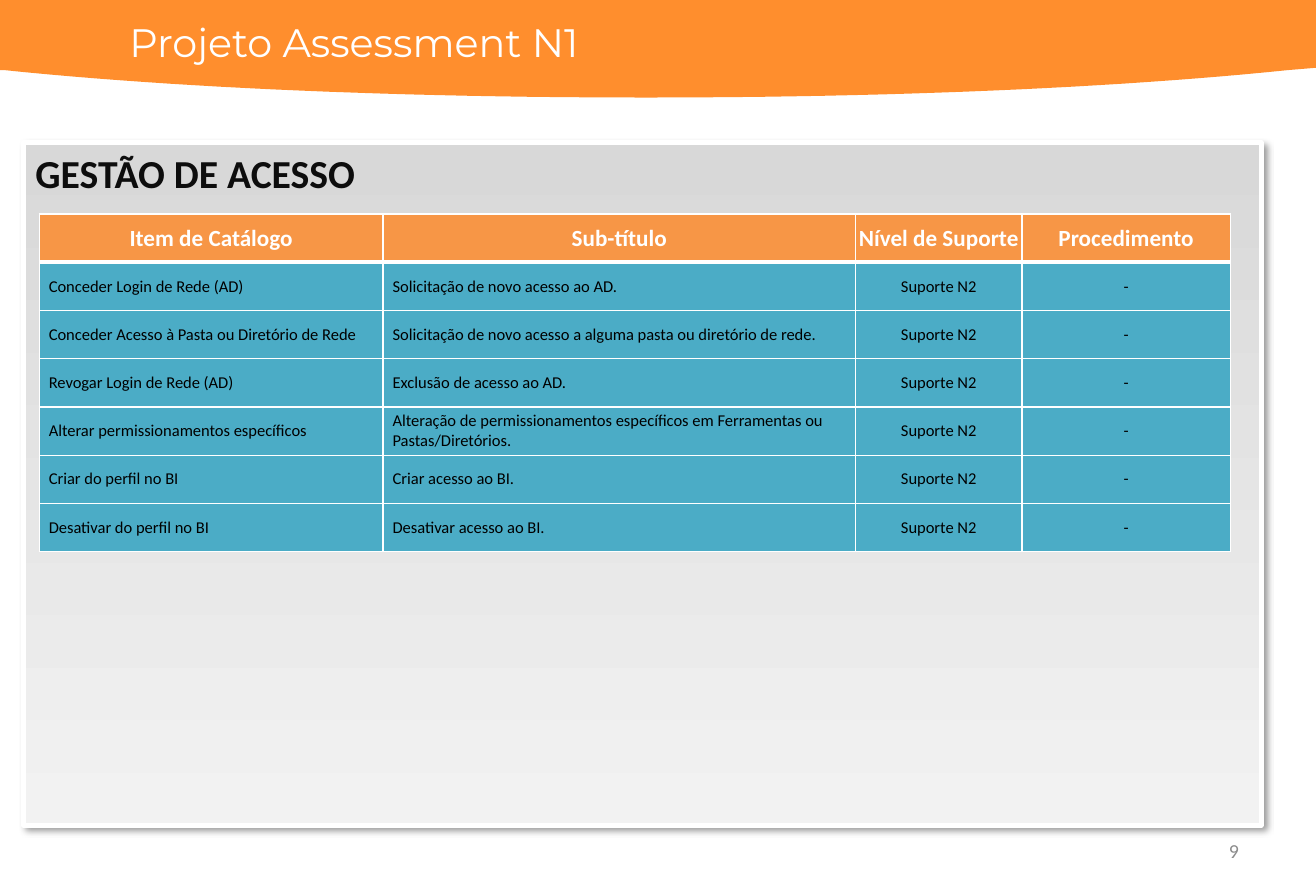
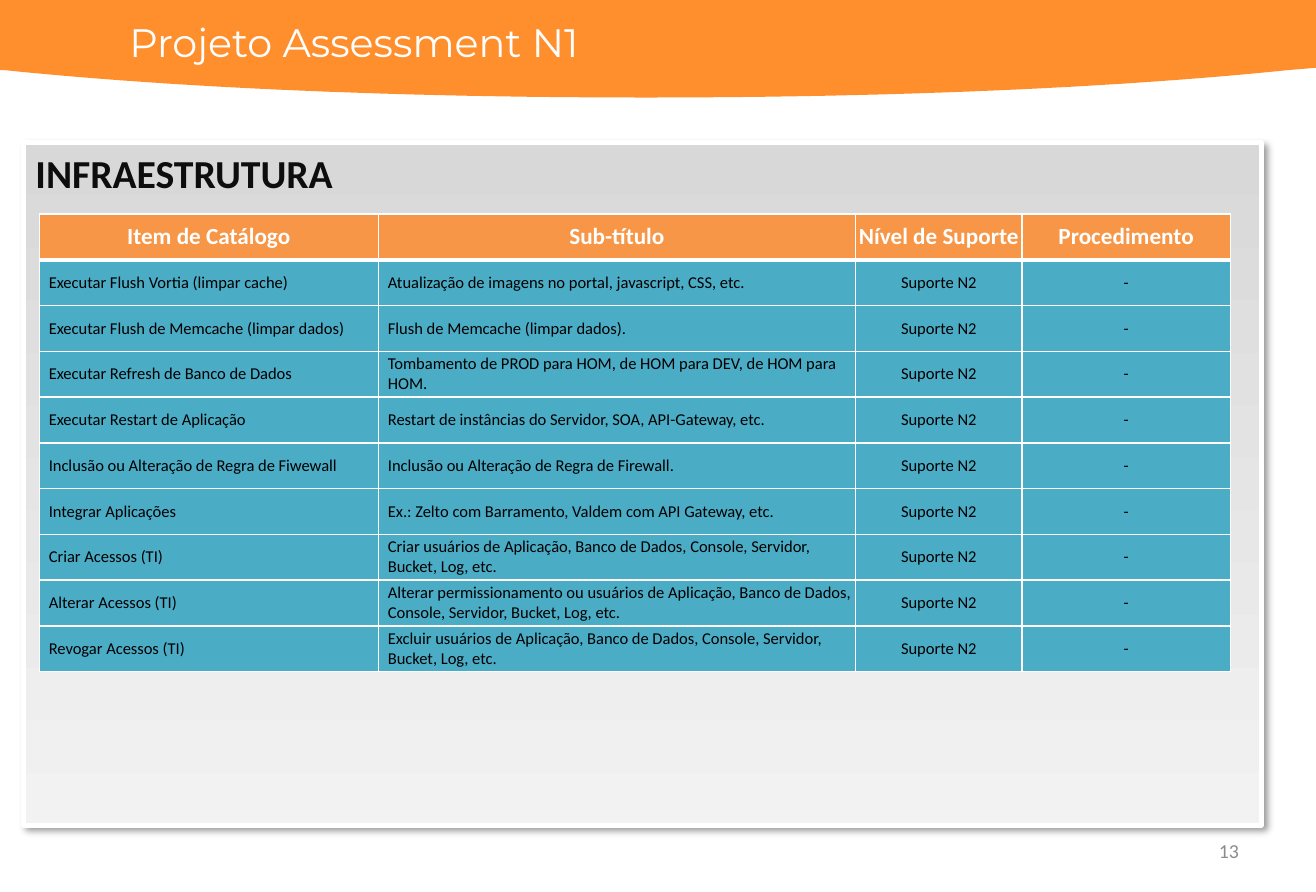
"""Build two catalogue slides that share a curved band, a grey panel and a table style."""
import dataclasses
import typing

import lxml.etree
import pptx
import pptx.dml.color
import pptx.enum.shapes
import pptx.enum.text
import pptx.oxml.ns
import pptx.shapes.base
import pptx.slide
import pptx.table
import pptx.text.text
import pptx.util

Inches = pptx.util.Inches
Align = pptx.enum.text.PP_ALIGN
Anchor = pptx.enum.text.MSO_ANCHOR


@dataclasses.dataclass(frozen=True)
class Theme:
    band: str = "FF8E2D"
    head: str = "F79646"
    body: str = "4BACC6"
    top: str = "D8D8D8"
    base: str = "F2F2F2"
    white: str = "FFFFFF"
    black: str = "000000"
    ink: str = "0D0D0D"
    grey: str = "8C8C8C"
    font: str = "Calibri"
    show: str = "Montserrat"
    big: int = 24
    mid: int = 14
    note: int = 12
    small: int = 10
    thin: int = 1
    thick: int = 3


THEME = Theme()


class Style(typing.NamedTuple):
    size: int
    tint: str
    bold: bool = False
    face: str = THEME.font
    align: typing.Optional[Align] = None


class Point(typing.NamedTuple):
    x: float
    y: float


@dataclasses.dataclass(frozen=True)
class Page:
    title: str
    number: int
    first: float
    height: float
    items: tuple[tuple[str, str], ...]


WIDE, HIGH = 11.06, 7.5
TABLE = 10.01
LEVEL, STEPS = 1.4, 1.75
HEADS = ("Item de Catálogo", "Sub-título", "Nível de Suporte", "Procedimento")
CURVES = (
    (Point(10.82, 0.59), Point(9.36, 0.74), Point(7.48, 0.82), Point(5.43, 0.82)),
    (Point(5.43, 0.82), Point(3.38, 0.82), Point(1.5, 0.74), Point(0.04, 0.59)),
)
PAGES = (
    Page("GESTÃO DE ACESSO", 9, 2.89, 2.84, (
        ("Conceder Login de Rede (AD)", "Solicitação de novo acesso ao AD."),
        ("Conceder Acesso à Pasta ou Diretório de Rede",
         "Solicitação de novo acesso a alguma pasta ou diretório de rede."),
        ("Revogar Login de Rede (AD)", "Exclusão de acesso ao AD."),
        ("Alterar permissionamentos específicos",
         "Alteração de permissionamentos específicos em Ferramentas ou Pastas/Diretórios."),
        ("Criar do perfil no BI", "Criar acesso ao BI."),
        ("Desativar do perfil no BI", "Desativar acesso ao BI."),
    )),
    Page("INFRAESTRUTURA", 13, 2.85, 3.85, (
        ("Executar Flush Vortia (limpar cache)",
         "Atualização de imagens no portal, javascript, CSS, etc."),
        ("Executar Flush de Memcache (limpar dados)", "Flush de Memcache (limpar dados)."),
        ("Executar Refresh de Banco de Dados",
         "Tombamento de PROD para HOM, de HOM para DEV, de HOM para HOM."),
        ("Executar Restart de Aplicação",
         "Restart de instâncias do Servidor, SOA, API-Gateway, etc."),
        ("Inclusão ou Alteração de Regra de Fiwewall",
         "Inclusão ou Alteração de Regra de Firewall."),
        ("Integrar Aplicações", "Ex.: Zelto com Barramento, Valdem com API Gateway, etc."),
        ("Criar Acessos (TI)",
         "Criar usuários de Aplicação, Banco de Dados, Console, Servidor, Bucket, Log, etc."),
        ("Alterar Acessos (TI)",
         "Alterar permissionamento ou usuários de Aplicação, Banco de Dados, "
         "Console, Servidor, Bucket, Log, etc."),
        ("Revogar Acessos (TI)",
         "Excluir usuários de Aplicação, Banco de Dados, Console, Servidor, Bucket, Log, etc."),
    )),
)


def shade(code: str) -> pptx.dml.color.RGBColor:
    return pptx.dml.color.RGBColor.from_string(code)


def node(root: typing.Any, tag: str, **attrs: object) -> typing.Any:
    pairs = {key: str(val) for key, val in attrs.items()}
    return lxml.etree.SubElement(root, pptx.oxml.ns.qn(tag), pairs)


def write(frame: pptx.text.text.TextFrame, text: str, style: Style) -> None:
    frame.text = text
    frame.word_wrap = True
    line = frame.paragraphs[0]
    line.alignment = style.align
    for run in line.runs:
        run.font.name = style.face
        run.font.size = pptx.util.Pt(style.size)
        run.font.bold = style.bold
        run.font.color.rgb = shade(style.tint)


def trace(curve: tuple[Point, Point, Point, Point], count: int = 24) -> list[Point]:
    spots = []
    for step in range(count + 1):
        t = step / count
        parts = ((1 - t) ** 3, 3 * t * (1 - t) ** 2, 3 * t * t * (1 - t), t ** 3)
        spots.append(Point(sum(w * p.x for w, p in zip(parts, curve)),
                           sum(w * p.y for w, p in zip(parts, curve))))
    return spots


def add_band(slide: pptx.slide.Slide) -> None:
    edge = [Point(WIDE, 0), Point(WIDE, 0.57)]
    for curve in CURVES:
        edge += trace(curve)
    edge.append(Point(0, 0.59))
    form = slide.shapes.build_freeform(0, 0)
    form.add_line_segments([(Inches(x), Inches(y)) for x, y in edge], close=True)
    band = form.convert_to_shape()
    band.shadow.inherit = False
    band.fill.solid()
    band.fill.fore_color.rgb = shade(THEME.band)
    band.line.fill.background()


def cast(shape: pptx.shapes.base.BaseShape) -> None:
    shape.shadow.inherit = False
    group = shape.element.spPr.find(pptx.oxml.ns.qn("a:effectLst"))
    drop = node(group, "a:outerShdw", blurRad=pptx.util.Pt(4), dist=pptx.util.Pt(3),
                dir=45 * 60000, algn="tl", rotWithShape=0)
    node(node(drop, "a:srgbClr", val=THEME.black), "a:alpha", val=40000)


def add_panel(slide: pptx.slide.Slide, title: str) -> None:
    panel = slide.shapes.add_shape(pptx.enum.shapes.MSO_SHAPE.RECTANGLE,
                                   Inches(0.2), Inches(1.2), Inches(10.4), Inches(5.74))
    panel.fill.gradient()
    panel.fill.gradient_angle = 270
    for stop, code in zip(panel.fill.gradient_stops, (THEME.top, THEME.base)):
        stop.color.rgb = shade(code)
    panel.line.color.rgb = shade(THEME.white)
    panel.line.width = pptx.util.Pt(THEME.thick)
    cast(panel)
    frame = panel.text_frame
    frame.vertical_anchor = Anchor.TOP
    write(frame, title, Style(THEME.big, THEME.ink, True, align=Align.JUSTIFY))
    frame.paragraphs[0].space_after = pptx.util.Pt(2)


def add_label(slide: pptx.slide.Slide, left: float, top: float, width: float,
              height: float, text: str, style: Style) -> pptx.text.text.TextFrame:
    box = slide.shapes.add_textbox(Inches(left), Inches(top), Inches(width), Inches(height))
    write(box.text_frame, text, style)
    return box.text_frame


def frame_cell(cell: pptx.table._Cell, row: int) -> None:
    props = cell._tc.get_or_add_tcPr()
    for side in "LRTB":
        heavy = (row, side) in ((0, "B"), (1, "T"))
        width = THEME.thick if heavy else THEME.thin
        edge = node(props, f"a:ln{side}", w=pptx.util.Pt(width))
        node(node(edge, "a:solidFill"), "a:srgbClr", val=THEME.white)


def fill_cell(cell: pptx.table._Cell, row: int, col: int, text: str) -> None:
    head = row == 0
    left = not head and col < 2
    frame_cell(cell, row)
    cell.fill.solid()
    cell.fill.fore_color.rgb = shade(THEME.head if head else THEME.body)
    cell.margin_left = Inches(0.08 if left else 0)
    cell.margin_right = cell.margin_top = cell.margin_bottom = 0
    cell.vertical_anchor = Anchor.MIDDLE
    align = Align.LEFT if left else Align.CENTER
    size, tint = (THEME.mid, THEME.white) if head else (THEME.small, THEME.black)
    write(cell.text_frame, text, Style(size, tint, head, align=align))


def add_grid(slide: pptx.slide.Slide, page: Page) -> None:
    rows = [HEADS] + [(*item, "Suporte N2", "-") for item in page.items]
    table = slide.shapes.add_table(len(rows), len(HEADS), Inches(0.33), Inches(1.8),
                                   Inches(TABLE), Inches(page.height)).table
    table.first_row = table.horz_banding = False
    widths = (page.first, TABLE - page.first - LEVEL - STEPS, LEVEL, STEPS)
    for col, width in zip(table.columns, widths):
        col.width = Inches(width)
    for r, texts in enumerate(rows):
        table.rows[r].height = Inches(page.height / len(rows))
        for c, text in enumerate(texts):
            fill_cell(table.cell(r, c), r, c, text)


def add_page(deck: typing.Any, page: Page) -> None:
    slide = deck.slides.add_slide(deck.slide_layouts[6])
    add_band(slide)
    add_panel(slide, page.title)
    foot = add_label(slide, 7.93, 6.95, 2.58, 0.4, str(page.number),
                     Style(THEME.note, THEME.grey, align=Align.RIGHT))
    foot.vertical_anchor = Anchor.MIDDLE
    title = add_label(slide, 0.99, 0.1, 5.97, 0.5, "Projeto Assessment N1",
                      Style(THEME.big, THEME.white, face=THEME.show))
    title.auto_size = pptx.enum.text.MSO_AUTO_SIZE.SHAPE_TO_FIT_TEXT
    add_grid(slide, page)


def main() -> None:
    deck = pptx.Presentation()
    deck.slide_width, deck.slide_height = Inches(WIDE), Inches(HIGH)
    for page in PAGES:
        add_page(deck, page)
    deck.save("out.pptx")


if __name__ == "__main__":
    main()
